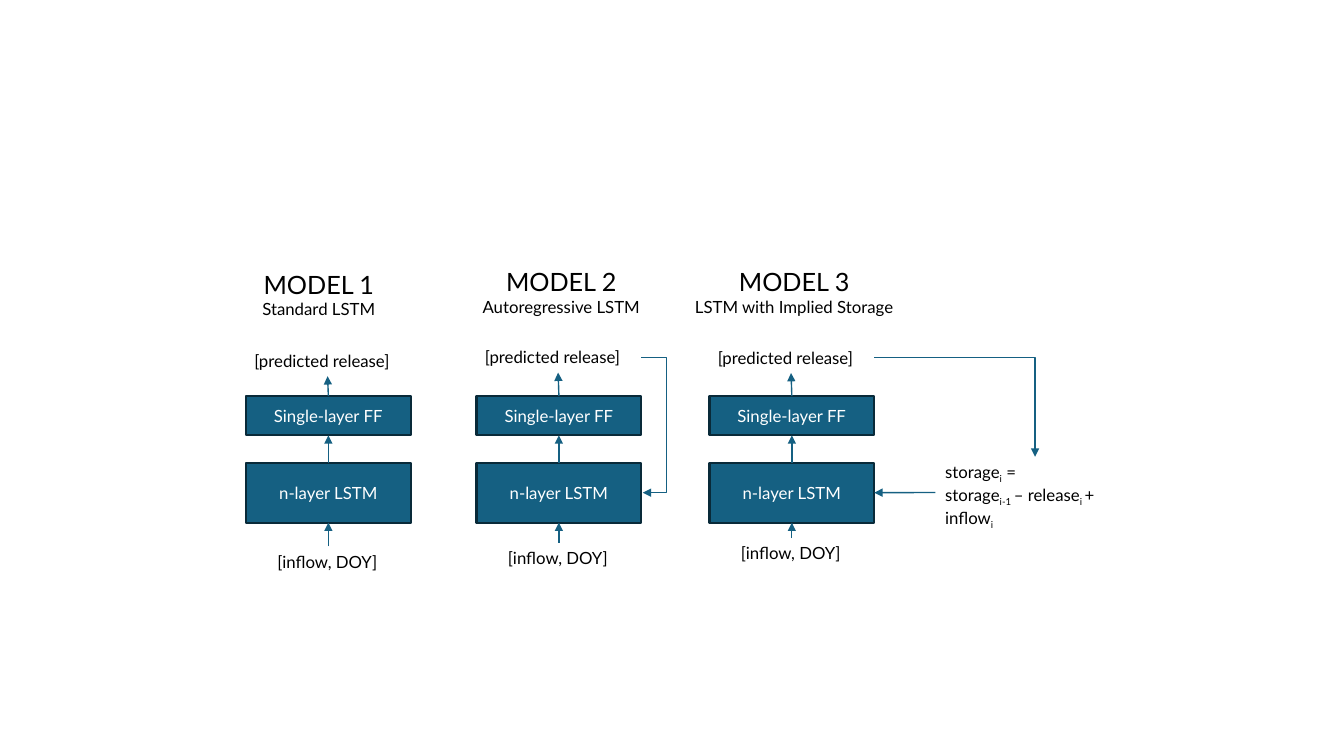
from pptx import Presentation
from pptx.dml.color import RGBColor
from pptx.enum.shapes import MSO_CONNECTOR, MSO_SHAPE
from pptx.enum.text import MSO_ANCHOR, MSO_AUTO_SIZE, PP_ALIGN
from pptx.oxml.ns import qn
from pptx.util import Cm, Pt
from lxml import etree

RECT = MSO_SHAPE.RECTANGLE
STRAIGHT, ELBOW = MSO_CONNECTOR.STRAIGHT, MSO_CONNECTOR.ELBOW
MIDDLE, GROW = MSO_ANCHOR.MIDDLE, MSO_AUTO_SIZE.SHAPE_TO_FIT_TEXT
LEFT, CENTER = PP_ALIGN.LEFT, PP_ALIGN.CENTER
TOP, WEST, BOTTOM, EAST = range(4)


def color(code):
    return RGBColor.from_string(code)


class Board:
    font, teal, edge = "Lato", "156082", "092A39"
    black, white = "000000", "FFFFFF"

    def __init__(self, deck):
        self.shapes = deck.slides.add_slide(deck.slide_layouts[6]).shapes

    def fill_text(self, frame, lines, ink, align):
        """Each line is a list of (text, size, baseline) runs."""
        for i, runs in enumerate(lines):
            para = frame.add_paragraph() if i else frame.paragraphs[0]
            para.alignment = align
            for text, size, base in runs:
                run = para.add_run()
                run.text = text
                run.font.name, run.font.size = self.font, Pt(size)
                run.font.color.rgb = color(ink)
                if base:
                    run.font._element.set("baseline", str(base * 1000))

    def block(self, x, y, w, h, text):
        box = self.shapes.add_shape(RECT, Cm(x), Cm(y), Cm(w), Cm(h))
        box.shadow.inherit = False
        box.fill.solid()
        box.fill.fore_color.rgb = color(self.teal)
        box.line.color.rgb, box.line.width = color(self.edge), Pt(1.5)
        box.text_frame.vertical_anchor = MIDDLE
        self.fill_text(box.text_frame, [[(text, 12, 0)]], self.white, CENTER)
        return box

    def label(self, x, y, w, h, lines, align=LEFT, wrap=False):
        box = self.shapes.add_textbox(Cm(x), Cm(y), Cm(w), Cm(h))
        box.text_frame.word_wrap = wrap
        box.text_frame.auto_size = GROW
        self.fill_text(box.text_frame, lines, self.black, align)
        return box

    def wire(self, kind, x1, y1, x2, y2):
        line = self.shapes.add_connector(kind, x1, y1, x2, y2)
        line.line.color.rgb, line.line.width = color(self.teal), Pt(1)
        outline = line._element.spPr.find(qn("a:ln"))
        etree.SubElement(outline, qn("a:tailEnd"), type="triangle")
        etree.SubElement(line._element.spPr, qn("a:effectLst"))
        return line

    def arrow(self, start, side, goal, port):
        line = self.wire(STRAIGHT, 0, 0, 0, 0)
        line.begin_connect(start, side)
        line.end_connect(goal, port)

    def elbow(self, x1, y1, x2, y2, reach=None):
        """With reach: out, down and back. Without: one corner."""
        line = self.wire(ELBOW, x1, y1, x2, y2)
        geom = line._element.spPr.find(qn("a:prstGeom"))
        if reach is None:
            geom.set("prst", "bentConnector2")
        else:
            ratio = round(100000 * reach / (x2 - x1))
            guides = geom.find(qn("a:avLst"))
            etree.SubElement(guides, qn("a:gd"), name="adj1", fmla=f"val {ratio}")


# Name, column left, title shift and width; tops of title, release and inflow
MODELS = [
    ("Standard LSTM", 6.2, -0.24, 3.53, 6.65, 8.71, 13.77),
    ("Autoregressive LSTM", 12.01, 0.06, 4.65, 6.58, 8.62, 13.68),
    ("LSTM with Implied Storage", 17.88, 0.06, 5.74, 6.58, 8.63, 13.56),
]
WIDE = 4.15


def main():
    deck = Presentation()
    deck.slide_width, deck.slide_height = Cm(33.87), Cm(19.05)
    board = Board(deck)

    # Three model columns
    cols = []
    for i, (name, x, shift, w, head, out, feed) in enumerate(MODELS, 1):
        lstm = board.block(x, 11.66, WIDE, 1.51, "n-layer LSTM")
        dense = board.block(x, 9.98, WIDE, 0.99, "Single-layer FF")
        result = board.label(x - 0.04, out, 4.19, 0.77, [[("[predicted release]", 12, 0)]])
        inflow = board.label(x + 0.54, feed, 3.07, 0.77, [[("[inflow, DOY]", 12, 0)]])
        left = x + WIDE / 2 + shift - w / 2
        board.label(left, head, w, 1.55,
                    [[(f"MODEL {i}", 18, 0)], [(name, 12, 0)]], CENTER)
        for low, high in ((inflow, lstm), (lstm, dense), (dense, result)):
            board.arrow(low, TOP, high, BOTTOM)
        cols.append((lstm, result))

    # Storage balance beside model 3
    terms = [
        [("storage", 12, 0), ("i", 12, -25), (" =", 12, 0)],
        [("storage", 12, 0), ("i-1 ", 12, -25), ("– release", 12, 0),
         ("i ", 12, -25), ("+ inflow", 12, 0), ("i", 12, -25)],
    ]
    store = board.label(23.57, 11.51, 5.03, 1.8, terms, wrap=True)
    board.arrow(store, WEST, cols[2][0], EAST)

    # Feedback from the predicted release
    lstm, result = cols[1]
    x, y = result.left + result.width, result.top + result.height // 2
    board.elbow(x, y, x + Cm(0.04), lstm.top + lstm.height // 2, Cm(0.64))
    result = cols[2][1]
    x, y = result.left + result.width, result.top + result.height // 2
    board.elbow(x, y, store.left + store.width // 2, store.top)

    deck.save("out.pptx")


if __name__ == "__main__":
    main()
